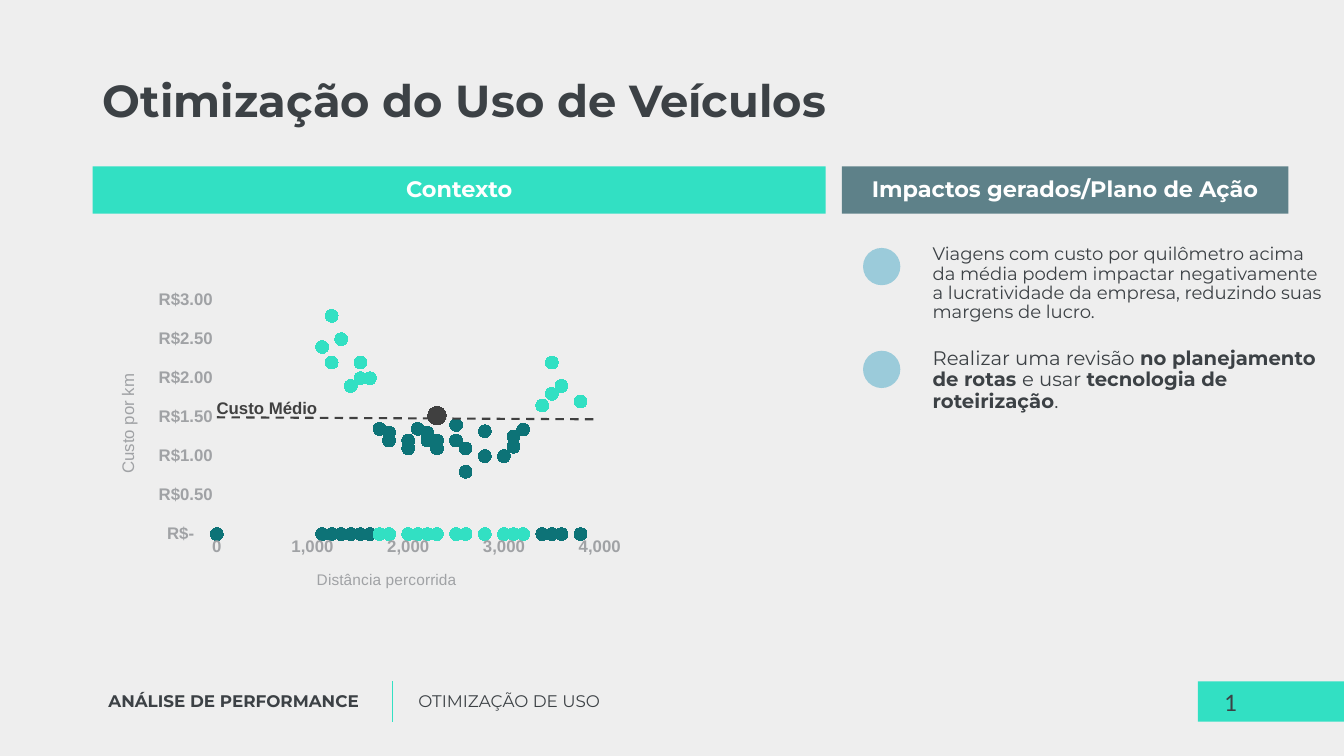
import pptx
import pptx.chart.data
import pptx.dml.color
import pptx.enum.chart
import pptx.enum.dml
import pptx.enum.shapes
import pptx.enum.text
import pptx.oxml
import pptx.oxml.ns
import pptx.util

RGBColor = pptx.dml.color.RGBColor
INK = RGBColor(0x3C, 0x41, 0x45)
CHARCOAL = RGBColor(0x40, 0x40, 0x40)
GREY = RGBColor(0xA0, 0xA2, 0xA5)
WHITE = RGBColor(0xFF, 0xFF, 0xFF)
BACKDROP = RGBColor(0xEE, 0xEE, 0xEE)
MINT = RGBColor(0x32, 0xE0, 0xC3)
TEAL = RGBColor(0x0D, 0x73, 0x77)
SLATE = RGBColor(0x5E, 0x81, 0x89)
SKY = RGBColor(0x9B, 0xCB, 0xDA)

HEADLINE = "Otimização do Uso de Veículos"
LEFT, TOP_BAR, BAR_HEIGHT = 0.92, 1.65, 0.47
HEADERS = [
    ("Contexto", LEFT, 7.27, MINT),
    ("Impactos gerados/Plano de Ação", 8.35, 4.43, SLATE),
]
IMPACTS = [
    (12.9, [("Viagens com custo por quilômetro acima da média podem impactar "
             "negativamente a lucratividade da empresa, reduzindo suas margens "
             "de lucro.", False)]),
    (14, [("Realizar uma revisão ", False), ("no planejamento de rotas ", True),
          ("e usar ", False), ("tecnologia de roteirização", True), (".", False)]),
]
IMPACT_TOP, IMPACT_STEP = 2.38, 1.03
BULLET_OFFSETS = [0.08, 0.07]
BULLET_SIZE = 0.37

FOOTER_TOP, FOOTER_HEIGHT = 6.76, 0.4
FOOTER_LABELS = [
    ("ANÁLISE DE PERFORMANCE", 0.68, True, pptx.enum.text.PP_ALIGN.RIGHT),
    ("OTIMIZAÇÃO DE USO", 4.05, False, pptx.enum.text.PP_ALIGN.LEFT),
]

DISTANCES = [
    1100, 1200, 1200, 1300, 1400, 1500, 1500, 1700, 1600, 1800, 2000, 2000,
    2100, 2200, 2200, 2200, 2300, 2300, 2200, 2500, 2500, 1800, 2600, 2600,
    2600, 2800, 2800, 3100, 3100, 3000, 3200, 3400, 3500, 3500, 3600, 3800]
ABOVE_AVERAGE = ([2.4, 2.8, 2.2, 2.5, 1.9, 2, 2.2, None, 2] + [None] * 22
                 + [1.65, 2.2, 1.8, 1.9, 1.7])
BELOW_AVERAGE = ([None] * 7 + [1.35, None] + [
    1.3, 1.2, 1.1, 1.35, 1.3, 1.3, 1.2, 1.1, 1.2, 1.2, 1.4, 1.2, 1.2, 1.1,
    0.8, 1.1, 1, 1.32, 1.25, 1.12, 1, 1.34] + [None] * 5)
AVERAGE_POINT = (2300, 1.52)
COST_SERIES = [
    ("Series 1", list(zip(DISTANCES, ABOVE_AVERAGE)) + [AVERAGE_POINT], MINT),
    ("Series 2", list(zip(DISTANCES, BELOW_AVERAGE)), TEAL),
]
CHART_BOX = (LEFT, 2.82, 5.35, 3.18)
PLOT_SHARES = {"x": 0.23, "y": 0.05, "w": 0.71, "h": 0.73}
MONEY = '"R$"#,##0.00;-"R$"#,##0.00;"R$"-_0_0'


def inches(*lengths):
    return [pptx.util.Inches(length) for length in lengths]


def style(font, size, color, bold=False, name="Montserrat"):
    font.size, font.bold, font.name = pptx.util.Pt(size), bold, name
    font.color.rgb = color


def write(holder, runs, size, color, align=pptx.enum.text.PP_ALIGN.LEFT,
          anchor=pptx.enum.text.MSO_ANCHOR.MIDDLE, name="Montserrat", spacing=0.9):
    frame = holder.text_frame
    frame.word_wrap = True
    frame.auto_size = pptx.enum.text.MSO_AUTO_SIZE.NONE
    frame.vertical_anchor = anchor
    paragraph = frame.paragraphs[0]
    paragraph.alignment, paragraph.line_spacing = align, spacing
    paragraph.space_before = pptx.util.Pt(0)
    for words, bold in runs:
        run = paragraph.add_run()
        run.text = words
        style(run.font, size, color, bold, name)
    return paragraph


def place(holder, *box):
    holder.left, holder.top, holder.width, holder.height = inches(*box)


def block(slide, kind, box, color):
    shape = slide.shapes.add_shape(kind, *inches(*box))
    shape.shadow.inherit = False
    shape.fill.solid()
    shape.fill.fore_color.rgb = color
    shape.line.fill.background()
    return shape


def rule(slide, ends, color, width):
    line = slide.shapes.add_connector(
        pptx.enum.shapes.MSO_CONNECTOR.STRAIGHT, *inches(*ends))
    line.line.color.rgb = color
    line.line.width = pptx.util.Pt(width)
    pptx.oxml.ns.qn("a:effectLst")
    line._element.spPr.append(line._element.makeelement(
        pptx.oxml.ns.qn("a:effectLst"), {}))
    return line


def set_layout(parent, after, shares, inner=False):
    for old in parent.findall(pptx.oxml.ns.qn("c:layout")):
        parent.remove(old)
    entries = '<c:layoutTarget val="inner"/>' if inner else ""
    entries += "".join(f'<c:{key}Mode val="edge"/>' for key in ("x", "y"))
    entries += "".join(f'<c:{key} val="{share}"/>' for key, share in shares.items())
    layout = pptx.oxml.parse_xml(
        f'<c:layout {pptx.oxml.ns.nsdecls("c")}><c:manualLayout>{entries}'
        "</c:manualLayout></c:layout>")
    if after is None:
        parent.insert(0, layout)
    else:
        parent.find(pptx.oxml.ns.qn(after)).addnext(layout)


def format_axis(axis, caption, size, top, step, number_format, shares):
    axis.minimum_scale, axis.maximum_scale, axis.major_unit = 0, top, step
    axis.has_major_gridlines = False
    axis.major_tick_mark = pptx.enum.chart.XL_TICK_MARK.NONE
    axis.minor_tick_mark = pptx.enum.chart.XL_TICK_MARK.NONE
    axis.format.line.fill.background()
    axis.tick_labels.number_format = number_format
    axis.tick_labels.number_format_is_linked = False
    style(axis.tick_labels.font, 12, GREY, True, "Arial")
    axis.axis_title.text_frame.text = caption
    style(axis.axis_title.text_frame.paragraphs[0].runs[0].font, size, GREY, name="Arial")
    set_layout(axis.axis_title._element, "c:tx", shares)


def mark(marker, size, color):
    marker.style = pptx.enum.chart.XL_MARKER_STYLE.CIRCLE
    marker.size = size
    marker.format.fill.solid()
    marker.format.fill.fore_color.rgb = color
    marker.format.line.fill.background()


def add_cost_chart(slide):
    costs = pptx.chart.data.XyChartData()
    for name, trips, color in COST_SERIES:
        series = costs.add_series(name)
        for distance, cost in trips:
            series.add_data_point(distance, cost)
    chart = slide.shapes.add_chart(
        pptx.enum.chart.XL_CHART_TYPE.XY_SCATTER, *inches(*CHART_BOX), costs).chart
    chart.has_legend = chart.has_title = False
    chart.font.name, chart.font.size = "Calibri", pptx.util.Pt(10)
    chart.plots[0].vary_by_categories = False
    for series, (name, trips, color) in zip(chart.plots[0].series, COST_SERIES):
        series.format.line.fill.background()
        mark(series.marker, 9, color)
        for point in series._element.xpath("./c:yVal//c:pt"):
            if point.findtext(pptx.oxml.ns.qn("c:v")) in ("None", "", None):
                point.getparent().remove(point)
    mark(chart.plots[0].series[0].points[len(DISTANCES)].marker, 13, CHARCOAL)
    format_axis(chart.category_axis, "Distância percorrida", 11, 4000, 1000,
                "#,##0", {"x": 0.41, "y": 0.88})
    format_axis(chart.value_axis, "Custo por km", 12, 3, 0.5,
                MONEY, {"x": 0.04, "y": 0.27})
    set_layout(chart._chartSpace.chart.plotArea, None, PLOT_SHARES, True)
    for blanks in chart._chartSpace.xpath("./c:chart/c:dispBlanksAs"):
        blanks.set("val", "zero")


def main():
    deck = pptx.Presentation()
    deck.slide_width, deck.slide_height = inches(13.33, 7.5)
    slide = deck.slides.add_slide(deck.slide_layouts.get_by_name("Two Content"))
    slide.background.fill.solid()
    slide.background.fill.fore_color.rgb = BACKDROP
    rectangle = pptx.enum.shapes.MSO_SHAPE.RECTANGLE
    center = pptx.enum.text.PP_ALIGN.CENTER

    title, *bodies = slide.placeholders
    place(title, LEFT, 0.54, 11.5, 0.96)
    write(title, [(HEADLINE, True)], 32, INK)

    for caption, left, width, color in HEADERS:
        bar = block(slide, rectangle, (left, TOP_BAR, width, BAR_HEIGHT), color)
        write(bar, [(caption, True)], 16, WHITE, center)

    for row, (body, (size, runs)) in enumerate(zip(bodies, IMPACTS)):
        top = IMPACT_TOP + row * IMPACT_STEP
        place(body, 9.15, top, 4.11, 0.91)
        paragraph = write(body, runs, size, INK, anchor=pptx.enum.text.MSO_ANCHOR.TOP)
        properties = paragraph._p.get_or_add_pPr()
        properties.set("marL", "0")
        properties.set("indent", "0")
        properties.append(properties.makeelement(pptx.oxml.ns.qn("a:buNone"), {}))
        block(slide, pptx.enum.shapes.MSO_SHAPE.OVAL,
              (8.56, top + BULLET_OFFSETS[row], BULLET_SIZE, BULLET_SIZE), SKY)

    add_cost_chart(slide)
    average = slide.shapes.add_textbox(*inches(2.05, 3.9, 1.22, 0.3))
    write(average, [("Custo Médio", True)], 12, CHARCOAL, name="Arial", spacing=1.0)
    average_line = rule(slide, (2.15, 4.14, 5.91, 4.16), CHARCOAL, 1.5)
    average_line.line.dash_style = pptx.enum.dml.MSO_LINE.DASH

    for caption, left, bold, align in FOOTER_LABELS:
        label = slide.shapes.add_textbox(*inches(left, 6.7, 2.98, 0.53))
        write(label, [(caption, bold)], 12, INK, align)
    rule(slide, (3.89, FOOTER_TOP, 3.89, FOOTER_TOP + FOOTER_HEIGHT), MINT, 0.5)
    page = block(slide, rectangle, (11.88, FOOTER_TOP, 1.45, FOOTER_HEIGHT), MINT)
    page.text_frame.margin_left = pptx.util.Inches(0.26)
    write(page, [("1", False)], 18, INK, name="Calibri", spacing=1.0)

    deck.save("out.pptx")


if __name__ == "__main__":
    main()
